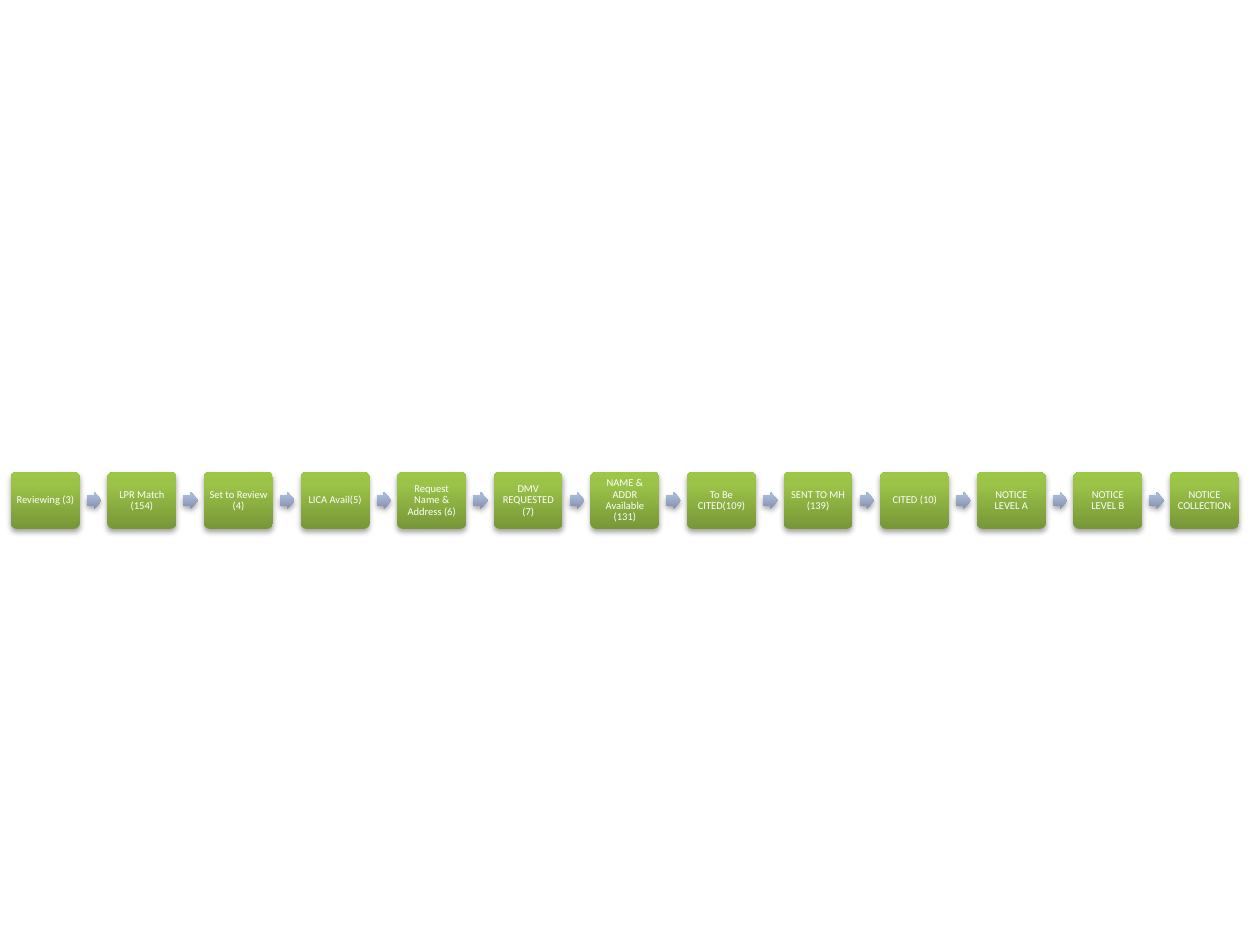
from lxml.etree import SubElement
from pptx import Presentation
from pptx.dml.color import RGBColor
from pptx.enum.shapes import MSO_SHAPE
from pptx.enum.text import MSO_ANCHOR, PP_ALIGN
from pptx.oxml.ns import qn
from pptx.util import Pt

COLORS = {
    "step": ("779737", "9BC348", "9DC746"),
    "arrow": ("818FA8", "A7B9DA", "A7BADC"),
    "text": "FFFFFF",
    "shadow": "000000",
}
STOPS = (0, 80, 100)
STEPS = (
    "Reviewing (3)", "LPR Match (154)", "Set to Review (4)", "LICA Avail(5)",
    "Request Name & Address (6)", "DMV REQUESTED (7)",
    "NAME & ADDR Available (131)", "To Be CITED(109)", "SENT TO MH (139)",
    "CITED (10)", "NOTICE LEVEL A", "NOTICE LEVEL B", "NOTICE COLLECTION",
)
LEFT, MIDDLE, PITCH = 6.2, 286, 55.2
STEP_W, STEP_H = 39.4, 32.4
ARROW_W, ARROW_H, ARROW_OFFSET = 8.4, 9.8, 43.4


def set_gradient(sp, colors):
    """Fill a shape with a gradient that runs from bottom to top."""
    sp.fill.gradient()
    grad = sp.fill._xPr.find(qn("a:gradFill"))
    stops = grad.find(qn("a:gsLst"))
    for stop in list(stops):
        stops.remove(stop)
    for pos, color in zip(STOPS, colors):
        gs = SubElement(stops, qn("a:gs"), pos=str(pos * 1000))
        SubElement(gs, qn("a:srgbClr"), val=color)
    grad.find(qn("a:lin")).set("ang", str(270 * 60000))


def set_shadow(sp):
    """Give a shape a soft shadow below it."""
    sp.shadow.inherit = False
    effects = sp._element.spPr.find(qn("a:effectLst"))
    shadow = SubElement(effects, qn("a:outerShdw"), blurRad=str(Pt(3.1)),
                        dist=str(Pt(1.8)), dir=str(90 * 60000), rotWithShape="0")
    color = SubElement(shadow, qn("a:srgbClr"), val=COLORS["shadow"])
    SubElement(color, qn("a:alpha"), val="35000")


def add_block(slide, kind, left, width, height, colors, adjustments):
    """Add a gradient shape centred on the line of the process."""
    sp = slide.shapes.add_shape(kind, Pt(left), Pt(MIDDLE - height / 2),
                                Pt(width), Pt(height))
    for i, value in enumerate(adjustments):
        sp.adjustments[i] = value
    set_gradient(sp, colors)
    sp.line.fill.background()
    set_shadow(sp)
    return sp


def set_text(sp, text, size=6, font="Calibri", color=COLORS["text"],
             align=PP_ALIGN.CENTER, inset=1.8, spacing=0.9):
    """Write one formatted paragraph into a shape."""
    tf = sp.text_frame
    tf.word_wrap = True
    tf.vertical_anchor = MSO_ANCHOR.MIDDLE
    tf.margin_left = tf.margin_right = Pt(inset)
    tf.margin_top = tf.margin_bottom = Pt(inset)
    p = tf.paragraphs[0]
    p.alignment = align
    p.line_spacing = spacing
    r = p.add_run()
    r.text = text
    r.font.size = Pt(size)
    r.font.name = font
    r.font.color.rgb = RGBColor.from_string(color)


def add_step(slide, left, text):
    """Add a rounded box with the name of a step."""
    sp = add_block(slide, MSO_SHAPE.ROUNDED_RECTANGLE, left, STEP_W, STEP_H,
                   COLORS["step"], (0.1,))
    set_text(sp, text)


def add_arrow(slide, left):
    """Add an arrow that leads to the next step."""
    add_block(slide, MSO_SHAPE.RIGHT_ARROW, left, ARROW_W, ARROW_H,
              COLORS["arrow"], (0.6, 0.5))


def main():
    """Build the process slide."""
    prs = Presentation()
    prs.slide_width, prs.slide_height = Pt(720), Pt(540)
    slide = prs.slides.add_slide(prs.slide_layouts[6])
    for i, text in enumerate(STEPS):
        left = LEFT + i * PITCH
        add_step(slide, left, text)
        if i < len(STEPS) - 1:
            add_arrow(slide, left + ARROW_OFFSET)
    prs.save("out.pptx")


main()
